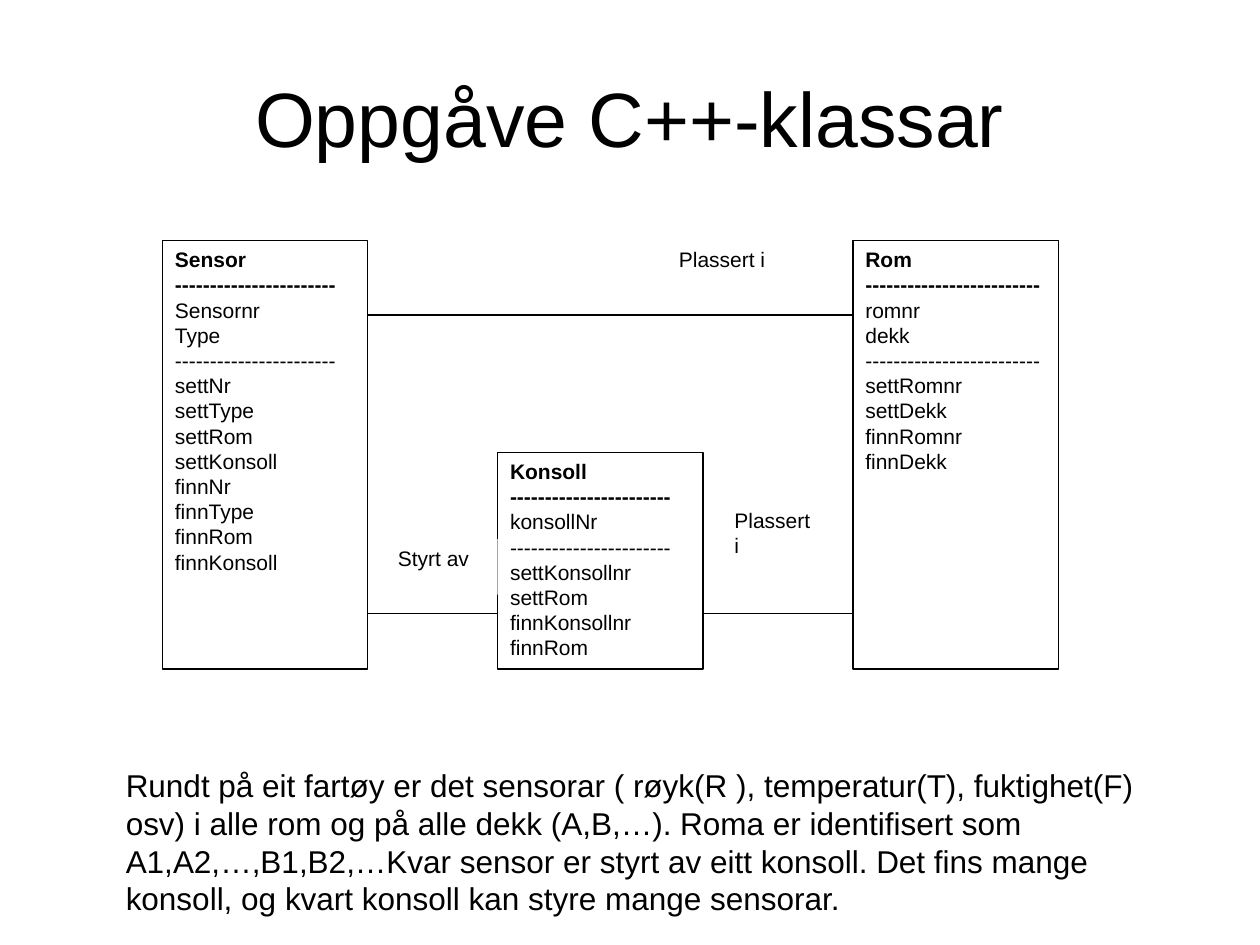
from dataclasses import dataclass

from lxml.etree import SubElement
from pptx import Presentation
from pptx.dml.color import RGBColor
from pptx.enum.shapes import MSO_CONNECTOR as Connector, MSO_SHAPE as Shape
from pptx.enum.text import MSO_ANCHOR as Anchor, PP_ALIGN as Align
from pptx.oxml.ns import qn
from pptx.util import Inches, Pt


@dataclass(frozen=True)
class Theme:
    """Colours, type sizes and line width of the slide."""
    ink: RGBColor = RGBColor(0, 0, 0)
    paper: RGBColor = RGBColor(255, 255, 255)
    font: str = "Arial"
    title: int = 44
    body: int = 18
    diagram: int = 12
    stroke: float = 0.75


THEME = Theme()
COLUMNS, ROWS = 100, 75
WIDTH, HEIGHT = Inches(10), Inches(7.5)

CLASS_WIDTH = 16.3
CLASS_TOP, CLASS_BOTTOM = 19.1, 53.1
SENSOR_LEFT, KONSOLL_LEFT, ROM_LEFT = 12.9, 39.5, 67.7
KONSOLL_TOP = 35.9
UPPER_LINK, LOWER_LINK = 25, 48.7

CLASSES = [
    ("Sensor", SENSOR_LEFT, CLASS_TOP, 23, ["Sensornr", "Type"],
     ["settNr", "settType", "settRom", "settKonsoll",
      "finnNr", "finnType", "finnRom", "finnKonsoll"]),
    ("Rom", ROM_LEFT, CLASS_TOP, 25, ["romnr", "dekk"],
     ["settRomnr", "settDekk", "finnRomnr", "finnDekk"]),
    ("Konsoll", KONSOLL_LEFT, KONSOLL_TOP, 23, ["konsollNr"],
     ["settKonsollnr", "settRom", "finnKonsollnr", "finnRom"]),
]
LINKS = [
    (SENSOR_LEFT, ROM_LEFT, UPPER_LINK),
    (SENSOR_LEFT, KONSOLL_LEFT, LOWER_LINK),
    (KONSOLL_LEFT, ROM_LEFT, LOWER_LINK),
]
LINK_LABELS = [
    ("Styrt av", (30.6, 42.8, 8.9, 4.4)),
    ("Plassert\ni", (57.3, 39.8, 8.9, 7.4)),
    ("Plassert i", (52.9, CLASS_TOP, 11.8, 4.4)),
]
TASK = (
    "Rundt på eit fartøy er det sensorar ( røyk(R ), temperatur(T), fuktighet(F) osv) "
    "i alle rom og på alle dekk (A,B,…). Roma er identifisert som A1,A2,…,B1,B2,…"
    "Kvar sensor er styrt av eitt konsoll. Det fins mange konsoll, "
    "og kvart konsoll kan styre mange sensorar."
)


def col(count):
    """Turn grid columns into a length."""
    return round(WIDTH * count / COLUMNS)


def row(count):
    """Turn grid rows into a length."""
    return round(HEIGHT * count / ROWS)


def place(area):
    """Turn left, top, width and height on the grid into lengths."""
    left, top, width, height = area
    return col(left), row(top), col(width), row(height)


def write(frame, text, size, align=Align.LEFT, anchor=Anchor.TOP, bold_lines=0):
    """Fill a text frame and format its runs."""
    frame.text = text
    frame.word_wrap = True
    frame.vertical_anchor = anchor
    for index, paragraph in enumerate(frame.paragraphs):
        paragraph.alignment = align
        for run in paragraph.runs:
            run.font.name = THEME.font
            run.font.size = Pt(size)
            run.font.bold = index < bold_lines
            run.font.color.rgb = THEME.ink


def add_text(slide, text, area, size, **layout):
    """Add a text box."""
    box = slide.shapes.add_textbox(*place(area))
    write(box.text_frame, text, size, **layout)
    return box


def add_class(slide, name, left, top, dashes, attributes, methods):
    """Add a class box with its name, attributes and methods."""
    area = (left, top, CLASS_WIDTH, CLASS_BOTTOM - top)
    box = slide.shapes.add_shape(Shape.RECTANGLE, *place(area))
    box.shadow.inherit = False
    box.fill.solid()
    box.fill.fore_color.rgb = THEME.paper
    box.line.color.rgb = THEME.ink
    box.line.width = Pt(THEME.stroke)
    divider = "-" * dashes
    members = [name, divider, *attributes, divider, *methods]
    write(box.text_frame, "\n".join(members), THEME.diagram, bold_lines=2)


def add_link(slide, from_left, to_left, level):
    """Join the right edge of one class to the left edge of another."""
    link = slide.shapes.add_connector(
        Connector.STRAIGHT, col(from_left + CLASS_WIDTH), row(level), col(to_left), row(level))
    link.line.color.rgb = THEME.ink
    link.line.width = Pt(THEME.stroke)
    SubElement(link._element.spPr, qn("a:effectLst"))


def add_link_label(slide, text, area):
    """Add the label of a link on a paper-coloured ground."""
    label = add_text(slide, text, area, THEME.diagram)
    label.fill.solid()
    label.fill.fore_color.rgb = THEME.paper


def main():
    """Build the slide and save it."""
    deck = Presentation()
    deck.slide_width, deck.slide_height = WIDTH, HEIGHT
    slide = deck.slides.add_slide(deck.slide_layouts[6])
    add_text(slide, "Oppgåve C++-klassar", (5, 3, 90, 12.5), THEME.title,
             align=Align.CENTER, anchor=Anchor.MIDDLE)
    for class_parts in CLASSES:
        add_class(slide, *class_parts)
    for ends in LINKS:
        add_link(slide, *ends)
    for label in LINK_LABELS:
        add_link_label(slide, *label)
    add_text(slide, TASK, (9, 60.3, 84.3, 13), THEME.body)
    deck.save("out.pptx")


if __name__ == "__main__":
    main()
